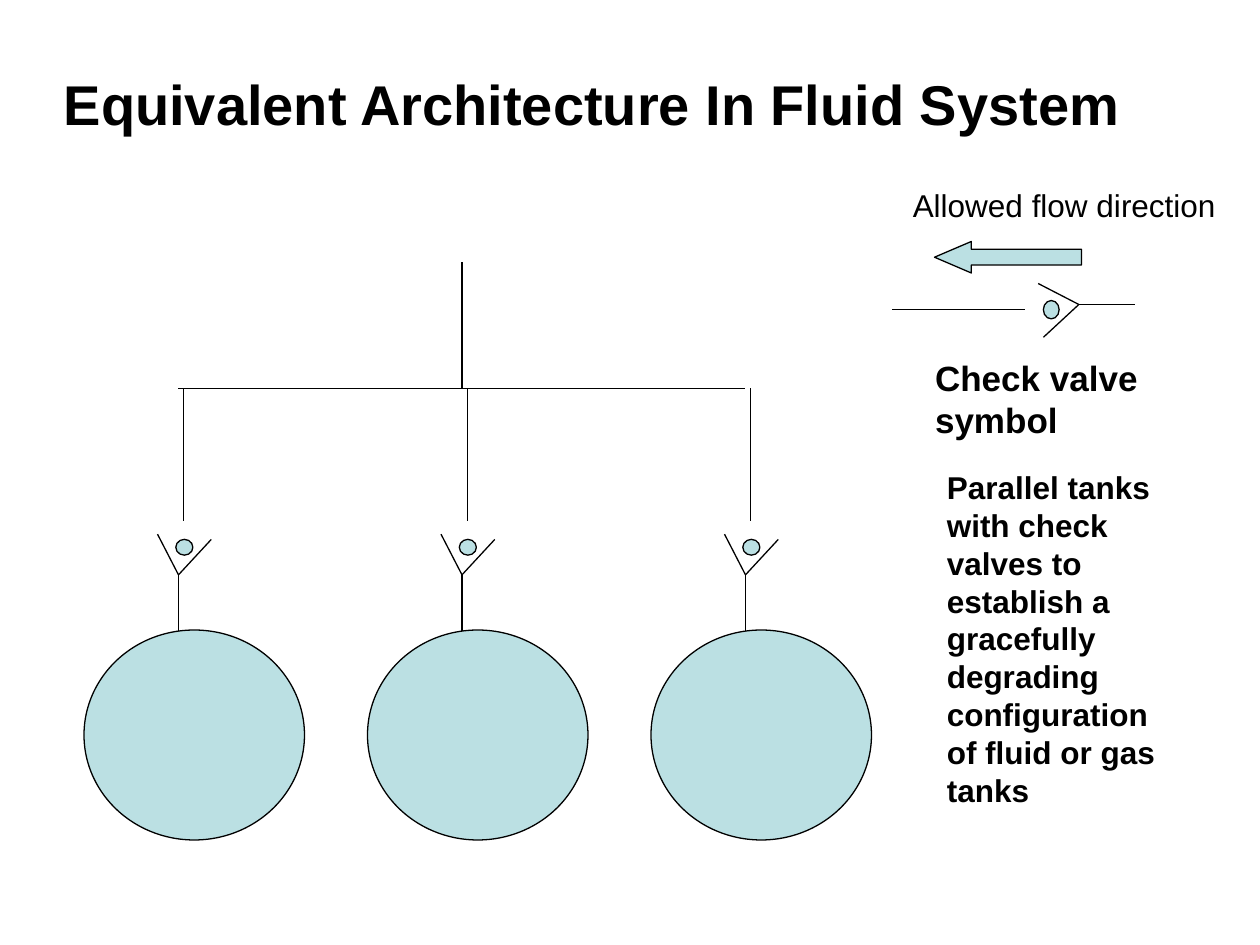
from pptx import Presentation
from pptx import util as u
from pptx.dml.color import RGBColor
from pptx.enum import shapes, text
from pptx.oxml.ns import qn
from lxml import etree

COLORS = {"ink": "000000", "fluid": "BBE0E3", "paper": "FFFFFF"}
EMU_PER_PX = 9525  # 96 px to the inch


def px(length):
    return u.Emu(length * EMU_PER_PX)


def color(name):
    return RGBColor.from_string(COLORS[name])


class Drawing:
    font = "Arial"
    line_width = u.Pt(0.75)

    def __init__(self, page):
        self.page = page
        page.background.fill.solid()
        page.background.fill.fore_color.rgb = color("paper")

    def set_text(self, box, lines, size, bold, wrap):
        frame = box.text_frame
        frame.text = "\n".join(lines)
        frame.word_wrap = wrap
        frame.auto_size = text.MSO_AUTO_SIZE.NONE
        frame.vertical_anchor = text.MSO_ANCHOR.TOP
        for para in frame.paragraphs:
            para.alignment = text.PP_ALIGN.LEFT
            for span in para.runs:
                span.font.name = self.font
                span.font.size = u.Pt(size)
                span.font.bold = bold
                span.font.color.rgb = color("ink")

    def title(self, wording, left, top, width, height, size):
        box = self.page.shapes.title
        box.left, box.top, box.width, box.height = map(px, (left, top, width, height))
        self.set_text(box, [wording], size, True, False)

    def label(self, lines, left, top, width, height, size, bold=True, wrap=False):
        box = self.page.shapes.add_textbox(*map(px, (left, top, width, height)))
        self.set_text(box, lines, size, bold, wrap)

    def shape(self, kind, left, top, width, height):
        shape = self.page.shapes.add_shape(kind, *map(px, (left, top, width, height)))
        shape.shadow.inherit = False
        shape.fill.solid()
        shape.fill.fore_color.rgb = color("fluid")
        shape.line.color.rgb = color("ink")
        shape.line.width = self.line_width
        return shape

    def ellipse(self, left, top, width, height):
        return self.shape(shapes.MSO_SHAPE.OVAL, left, top, width, height)

    def line(self, x1, y1, x2, y2):
        line = self.page.shapes.add_connector(
            shapes.MSO_CONNECTOR.STRAIGHT, *map(px, (x1, y1, x2, y2)))
        line.line.color.rgb = color("ink")
        line.line.width = self.line_width
        etree.SubElement(line._element.spPr, qn("a:effectLst"))

    def valve(self, ball, pipes):
        for pipe in pipes:
            self.line(*pipe)
        self.ellipse(*ball)


def main():
    deck = Presentation()
    deck.slide_width, deck.slide_height = px(960), px(720)
    drawing = Drawing(deck.slides.add_slide(deck.slide_layouts[5]))

    drawing.title("Equivalent Architecture In Fluid System", 39, 48, 827, 61, 32)

    # Three parallel tanks, each with its check valve
    pitch = 216
    for x in range(0, 3 * pitch, pitch):
        drawing.ellipse(64 + x, 480, 168, 160)
        drawing.valve((134 + x, 411, 13, 12), [
            (140 + x, 296, 140 + x, 397),
            (120 + x, 407, 136 + x, 438),
            (161 + x, 411, 136 + x, 438),
            (136 + x, 438, 136 + x, 481),
        ])

    # Common header and outlet
    drawing.line(136, 296, 136 + 2 * pitch, 296)
    drawing.line(136 + pitch, 296, 136 + pitch, 200)

    # Legend: check valve symbol and flow direction
    drawing.valve((795, 229, 12, 14), [
        (680, 236, 781, 236),
        (791, 216, 822, 232),
        (795, 257, 822, 232),
        (822, 232, 865, 232),
    ])
    arrow = drawing.shape(shapes.MSO_SHAPE.LEFT_ARROW, 712, 184, 112, 24)
    arrow.adjustments[0] = 0.5
    arrow.adjustments[1] = 1.17
    drawing.label(["Allowed flow direction"], 686, 137, 250, 38, 18, bold=False)
    drawing.label(["Check valve", "symbol"], 703, 267, 174, 74, 20)

    # Explanation
    drawing.label(["Parallel tanks with check valves to",
                   "establish a gracefully degrading configuration of fluid or gas tanks"],
                  712, 352, 200, 269, 18, wrap=True)

    deck.save("out.pptx")


if __name__ == "__main__":
    main()
